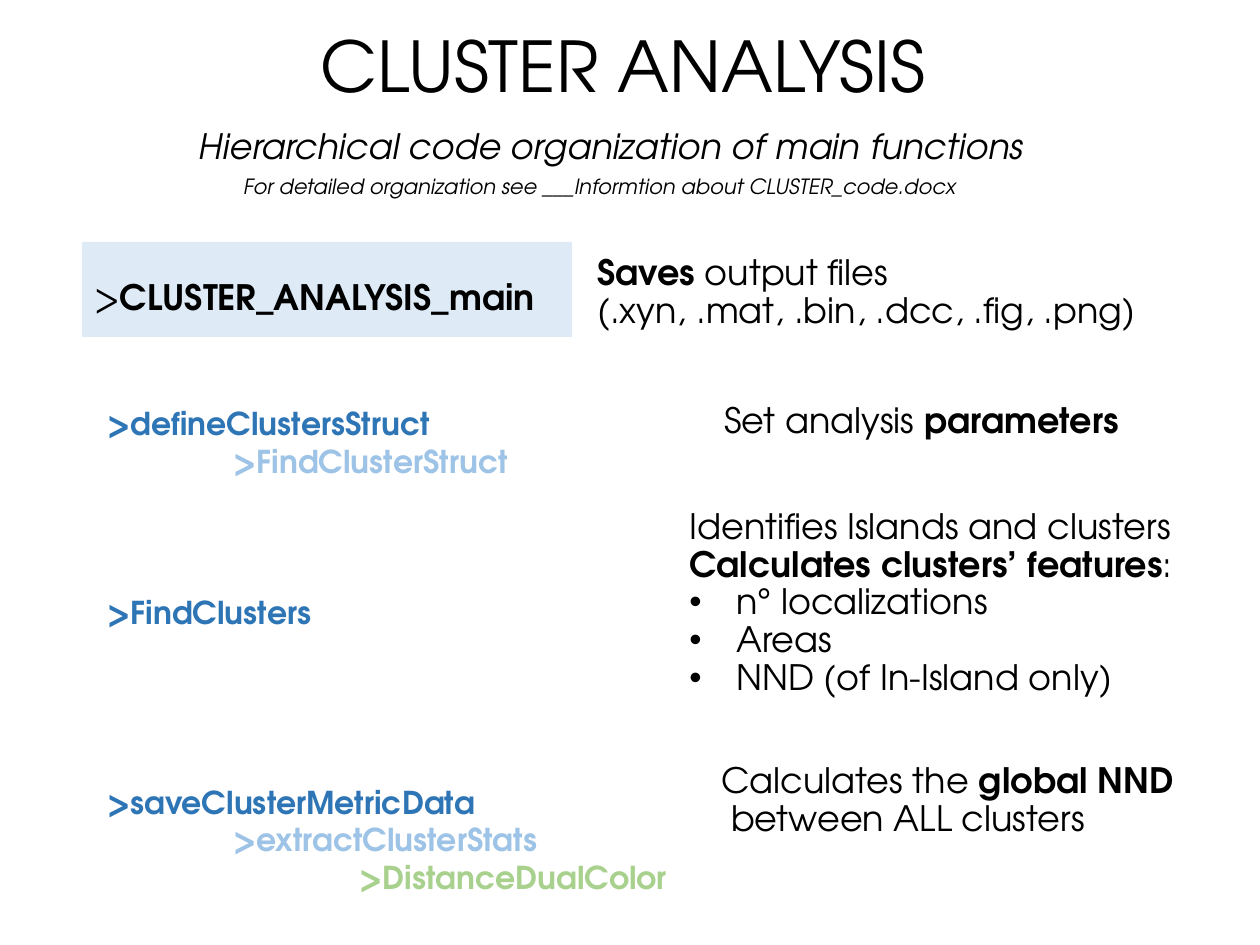
import pptx
import pptx.util
import pptx.dml.color
import pptx.enum.shapes
import pptx.enum.text
import lxml.etree
from dataclasses import dataclass

EMU_PER_PX = 914400 / 126


@dataclass(frozen=True)
class Theme:
    font: str = "TeX Gyre Adventor"
    ink: str = "000000"
    paper: str = "FFFFFF"
    panel: str = "DEEBF7"
    calls: tuple = ("2E75B6", "9DC3E6", "A9D18E")
    title: int = 40
    body: int = 20
    code: int = 18
    note: int = 12
    tight: float = 0.9


THEME = Theme()


def px(count):
    return pptx.util.Emu(round(count * EMU_PER_PX))


def rgb(value):
    return pptx.dml.color.RGBColor.from_string(value)


def style(paragraph, size, color=THEME.ink, bold=None, italic=None):
    font = paragraph.font
    font.name = THEME.font
    font.size = pptx.util.Pt(size)
    font.color.rgb = rgb(color)
    font.bold = bold
    font.italic = italic


def indent(paragraph, left, first=0):
    properties = paragraph._p.get_or_add_pPr()
    properties.set("marL", str(px(left)))
    properties.set("indent", str(px(first)))
    return properties


def add_bullet(paragraph):
    properties = indent(paragraph, 47, -47)
    for tag, key, value in (("buFont", "typeface", "Arial"), ("buChar", "char", "•")):
        name = pptx.oxml.ns.qn(f"a:{tag}")
        lxml.etree.SubElement(properties, name).set(key, value)


def prepare_frame(shape, top_inset=6):
    frame = shape.text_frame
    frame.word_wrap = True
    frame.vertical_anchor = pptx.enum.text.MSO_ANCHOR.TOP
    frame.margin_top = px(top_inset)
    return frame


def next_paragraph(frame, index):
    return frame.add_paragraph() if index else frame.paragraphs[0]


def write_lines(frame, lines, size=THEME.body, italic=None, centered=False, bullets_from=99):
    for index, line in enumerate(lines):
        paragraph = next_paragraph(frame, index)
        paragraph.alignment = (
            pptx.enum.text.PP_ALIGN.CENTER if centered else pptx.enum.text.PP_ALIGN.LEFT
        )
        paragraph.line_spacing = THEME.tight
        if index >= bullets_from:
            add_bullet(paragraph)
        style(paragraph, size, italic=italic)
        for position, words in enumerate(line.split("**")):
            if words:
                run = paragraph.add_run()
                run.text = words
                if position % 2:
                    run.font.bold = True


def add_panel(slide, box, fill, lines, top_inset=6, **options):
    panel = slide.shapes.add_shape(
        pptx.enum.shapes.MSO_SHAPE.RECTANGLE, *map(px, box)
    )
    panel.shadow.inherit = False
    panel.fill.solid()
    panel.fill.fore_color.rgb = rgb(fill)
    panel.line.fill.background()
    write_lines(prepare_frame(panel, top_inset), lines, **options)


def add_text(slide, box, lines, top_inset=38, **options):
    textbox = slide.shapes.add_textbox(*map(px, box))
    write_lines(prepare_frame(textbox, top_inset), lines, **options)


def add_call_tree(slide, box, calls):
    frame = prepare_frame(slide.shapes.add_textbox(*map(px, box)))
    for index, (depth, name, gap) in enumerate(calls):
        paragraph = next_paragraph(frame, index)
        paragraph.level = depth * 2
        indent(paragraph, depth * 126)
        if gap:
            paragraph.space_before = pptx.util.Pt(gap)
        style(paragraph, THEME.code, THEME.calls[depth], bold=True)
        paragraph.add_run().text = f">{name}"


def main():
    deck = pptx.Presentation()
    deck.slide_width, deck.slide_height = px(1260), px(945)
    slide = deck.slides.add_slide(deck.slide_layouts[6])

    add_panel(slide, (30, 26, 1186, 102), THEME.paper, ["CLUSTER ANALYSIS"],
              size=THEME.title, centered=True)
    add_panel(slide, (82, 242, 490, 95), THEME.panel, [">**CLUSTER_ANALYSIS_main**"],
              top_inset=38)
    add_call_tree(slide, (95, 398, 1036, 547), [
        (0, "defineClustersStruct", 0),
        (1, "FindClusterStruct", 0),
        (0, "FindClusters", 65),
        (0, "saveClusterMetricData", 86.6),
        (1, "extractClusterStats", 0),
        (2, "DistanceDualColor", 0),
    ])
    add_text(slide, (186, 91, 948, 95),
             ["Hierarchical code organization of main functions"], italic=True)
    add_text(slide, (712, 365, 571, 95), ["Set analysis **parameters**"])
    add_text(slide, (677, 471, 571, 95), [
        "Identifies Islands and clusters",
        "**Calculates clusters’ features**:",
        "n° localizations",
        "Areas",
        "NND (of In-Island only)",
    ], bullets_from=2)
    add_text(slide, (709, 725, 571, 95),
             ["Calculates the **global NND**", " between ALL clusters"])
    add_text(slide, (585, 217, 622, 95),
             ["**Saves** output files", "(.xyn, .mat, .bin, .dcc, .fig, .png)"])
    add_text(slide, (231, 150, 813, 95),
             ["For detailed organization see ___Informtion about CLUSTER_code.docx"],
             top_inset=26, size=THEME.note, italic=True)
    deck.save("out.pptx")


if __name__ == "__main__":
    main()
